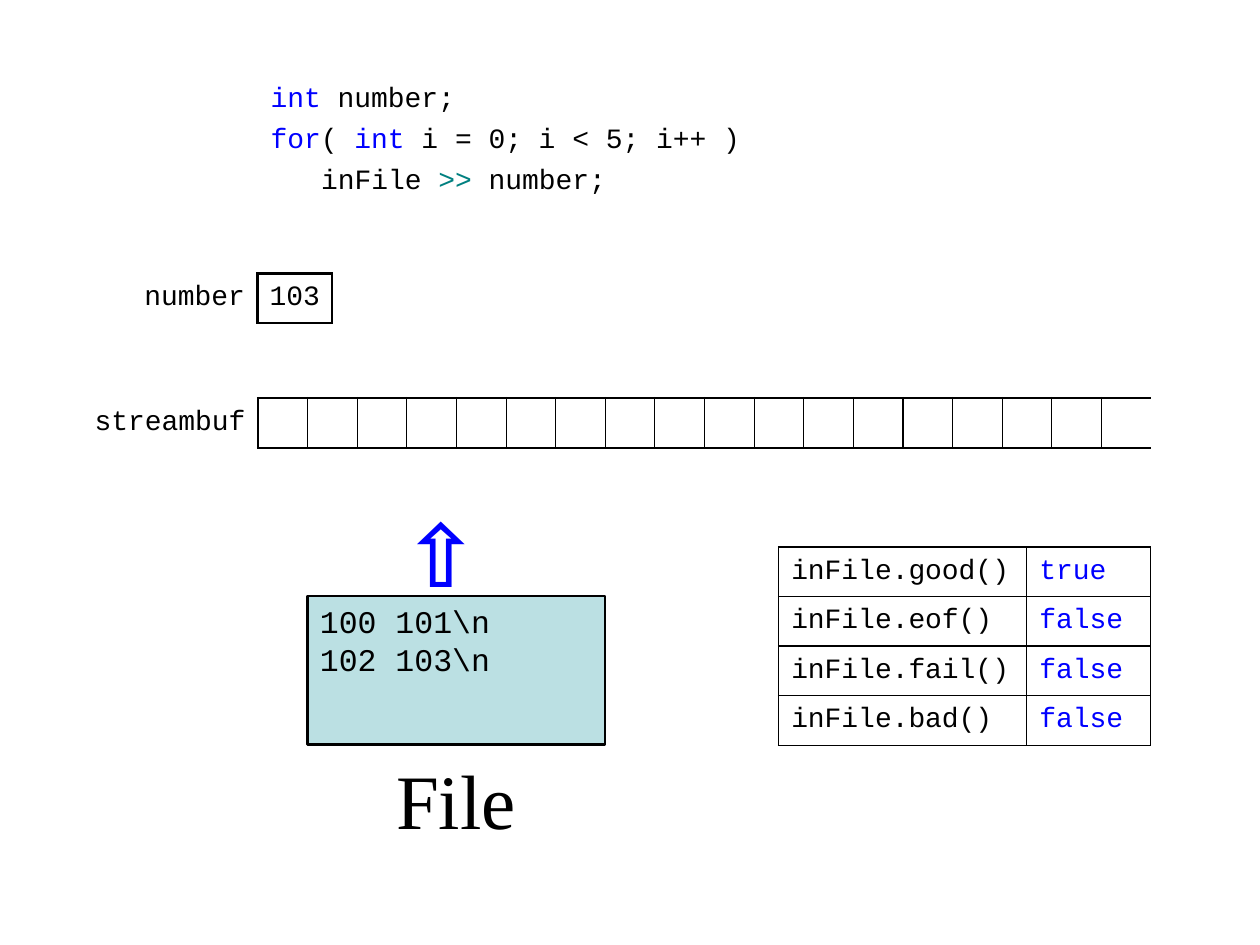
from dataclasses import dataclass

from lxml.etree import SubElement
from pptx import Presentation
from pptx.dml.color import RGBColor
from pptx.enum.shapes import MSO_SHAPE as Shape
from pptx.enum.text import MSO_ANCHOR as Anchor, PP_ALIGN as Align
from pptx.oxml.ns import qn
from pptx.util import Inches, Pt


@dataclass(frozen=True)
class Theme:
    mono: str = "Courier New"
    serif: str = "Times New Roman"
    black: str = "000000"
    blue: str = "0000FF"
    teal: str = "008080"
    fill: str = "BBE0E3"
    code: float = 16
    data: float = 18
    title: float = 44
    arrow: float = 66
    gap: float = 4.4
    thin: float = 0.75
    rule: float = 1
    thick: float = 1.5


T = Theme()
UNIT = 3.15 / 8  # grid step in inches
SLOTS = 18


@dataclass(frozen=True)
class Run:
    text: str
    color: str = T.black
    size: float = T.code
    font: str = T.mono
    bold: bool = False


@dataclass(frozen=True)
class Cell:
    """Edges are line widths for left, right, top, bottom; 0 means none."""
    run: Run | None
    edges: tuple[float, float, float, float]
    align: Align = Align.LEFT
    pad: tuple[float, float, float, float] = (0, 0, 0, 0)


def add_runs(para, runs: list[Run]) -> None:
    for item in runs:
        run = para.add_run()
        run.text = item.text
        run.font.name = item.font
        run.font.size = Pt(item.size)
        run.font.bold = item.bold
        run.font.color.rgb = RGBColor.from_string(item.color)


def set_pad(box, pad: tuple[float, float, float, float]) -> None:
    """Set the left, top, right and bottom insets of a frame or cell."""
    names = ("margin_left", "margin_top", "margin_right", "margin_bottom")
    for name, size in zip(names, pad):
        setattr(box, name, Inches(size))


def write(frame, lines: list[list[Run]], pad=(0.1, 0.05, 0.1, 0.05),
          align: Align = Align.LEFT, gap: float = 0) -> None:
    frame.word_wrap = True
    frame.vertical_anchor = Anchor.TOP
    set_pad(frame, pad)
    for n, runs in enumerate(lines):
        para = frame.add_paragraph() if n else frame.paragraphs[0]
        para.alignment = align
        para.space_before = Pt(gap)
        add_runs(para, runs)


def add_text(slide, at: tuple[float, float, float, float],
             lines: list[list[Run]], **style):
    box = slide.shapes.add_textbox(*map(Inches, at))
    write(box.text_frame, lines, **style)
    return box.text_frame


def set_edges(cell, edges: tuple[float, float, float, float]) -> None:
    props = cell._tc.get_or_add_tcPr()
    for side, width in zip("LRTB", edges):
        line = SubElement(props, qn(f"a:ln{side}"), w=str(Pt(width)))
        if width:
            fill = SubElement(line, qn("a:solidFill"))
            SubElement(fill, qn("a:srgbClr"), val=T.black)
        else:
            SubElement(line, qn("a:noFill"))


def add_grid(slide, left: float, top: float, cols: list[float],
             rows: list[list[Cell]]) -> None:
    """Draw a plain table; column widths are in grid steps."""
    size = (left, top, sum(cols) * UNIT, len(rows) * UNIT)
    table = slide.shapes.add_table(
        len(rows), len(cols), *map(Inches, size)).table
    table.first_row = table.horz_banding = False
    for col, width in zip(table.columns, cols):
        col.width = Inches(width * UNIT)
    for y, row in enumerate(rows):
        for x, data in enumerate(row):
            cell = table.cell(y, x)
            set_edges(cell, data.edges)
            cell.fill.background()
            cell.vertical_anchor = Anchor.MIDDLE
            set_pad(cell, data.pad)
            para = cell.text_frame.paragraphs[0]
            para.alignment = data.align
            if data.run:
                add_runs(para, [data.run])
            else:
                para.font.size = Pt(T.code)


def add_code(slide) -> None:
    lines = [
        [Run("int", T.blue), Run(" number;")],
        [Run("for", T.blue), Run("( "), Run("int", T.blue),
         Run(" i = 0; i < 5; i++ )")],
        [Run("inFile "), Run(">>", T.teal), Run(" number;")],
    ]
    frame = add_text(slide, (2.05, 0.6, 3.94, 0.98), lines,
                     pad=(0.1, 0.03, 0.08, 0.05), gap=T.gap)
    props = frame.paragraphs[-1]._p.get_or_add_pPr()
    props.set("marL", str(Inches(0.4)))
    props.set("indent", "0")


def add_buffer(slide) -> None:
    label = Cell(Run("streambuf"), (0, T.thick, 0, 0),
                 Align.RIGHT, (0, 0, 0.1, 0))
    slots = [
        Cell(None, (T.thin if n else T.thick,
                    T.thin if n < SLOTS - 1 else 0, T.thick, T.thick))
        for n in range(SLOTS)
    ]
    add_grid(slide, 0.67, 3.16, [3.5] + [1] * SLOTS, [[label, *slots]])


def add_number(slide) -> None:
    label = Cell(Run("number"), (0, T.thick, 0, 0),
                 Align.RIGHT, (0.04, 0, 0.1, 0))
    value = Cell(Run("103"), (T.thick,) * 4, Align.CENTER)
    add_grid(slide, 1.06, 2.17, [2.5, 1.5], [[label, value]])


def add_file(slide) -> None:
    add_text(slide, (3.03, 5.92, 1.18, 0.98),
             [[Run("File", size=T.title, font=T.serif)]],
             align=Align.CENTER, gap=T.gap)
    box = slide.shapes.add_shape(
        Shape.RECTANGLE, *map(Inches, (2.44, 4.73, 6 * UNIT, 3 * UNIT)))
    box.shadow.inherit = False
    box.fill.solid()
    box.fill.fore_color.rgb = RGBColor.from_string(T.fill)
    box.line.color.rgb = RGBColor.from_string(T.black)
    box.line.width = Pt(T.thick)
    write(box.text_frame, [[Run(text, size=T.data)]
                           for text in ("100 101\\n", "102 103\\n")])
    add_text(slide, (3.23, 3.75, 2 * UNIT, 2.5 * UNIT),
             [[Run("⇧", T.blue, T.arrow, bold=True)]], pad=(0, 0, 0, 0))


def add_state(slide) -> None:
    flags = {"good": "true", "eof": "false", "fail": "false", "bad": "false"}
    edges, pad = (T.rule,) * 4, (0.1, 0.04, 0.1, 0.04)
    rows = [
        [Cell(Run(f"inFile.{name}()"), edges, pad=pad),
         Cell(Run(value, T.blue), edges, pad=pad)]
        for name, value in flags.items()
    ]
    add_grid(slide, 6.18, 4.34, [5, 2.5], rows)


def main() -> None:
    deck = Presentation()
    deck.slide_width, deck.slide_height = Inches(10), Inches(7.5)
    slide = deck.slides.add_slide(deck.slide_layouts[6])
    for draw in (add_code, add_buffer, add_number, add_file, add_state):
        draw(slide)
    deck.save("out.pptx")


if __name__ == "__main__":
    main()
